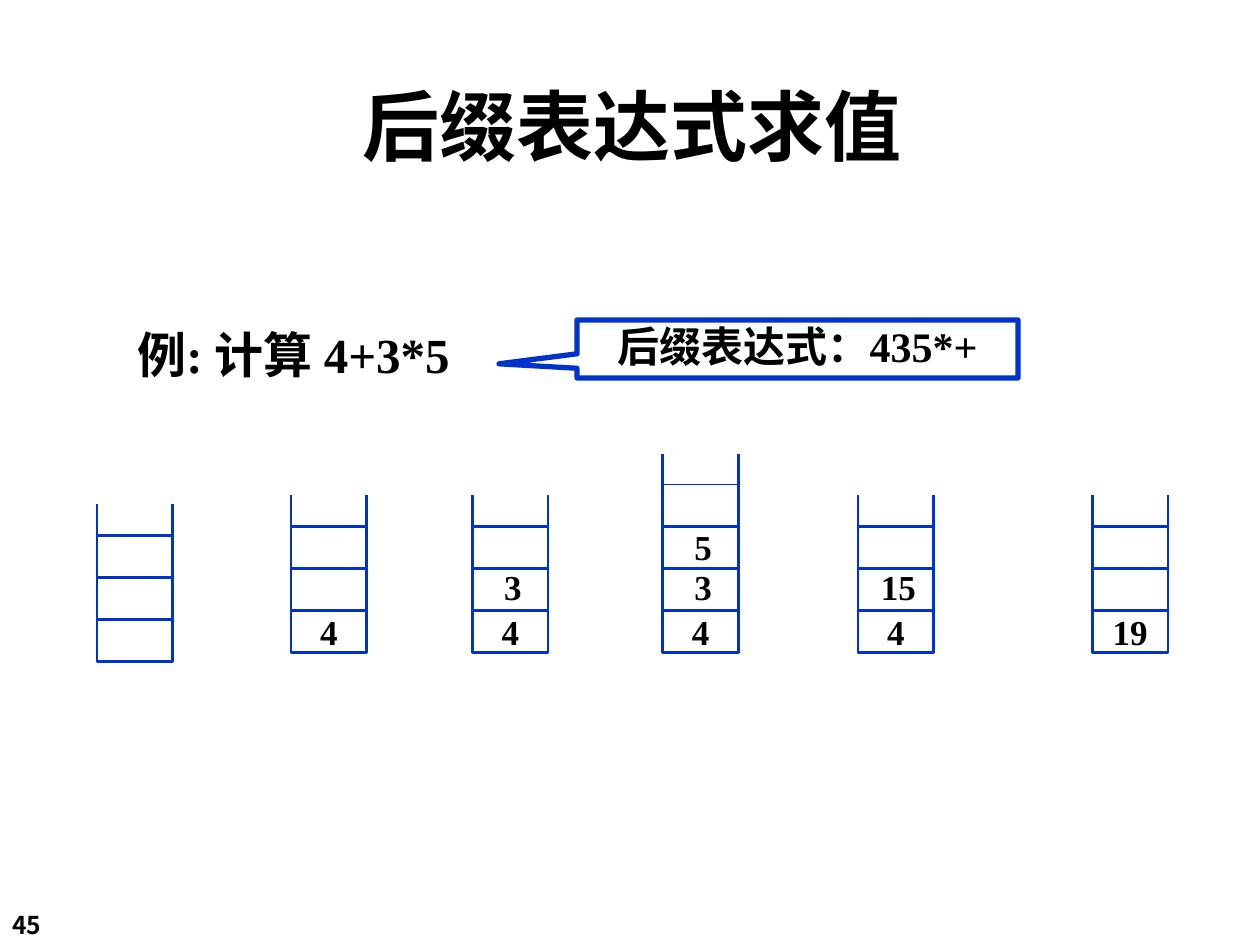
from pptx import Presentation
from pptx.dml.color import RGBColor
from pptx.enum.shapes import MSO_CONNECTOR as CONN, MSO_SHAPE as SHAPE
from pptx.enum.text import MSO_ANCHOR as ANCHOR, MSO_AUTO_SIZE as AUTO, PP_ALIGN as ALIGN
from pptx.oxml.ns import qn
from pptx.util import Inches, Pt
from lxml import etree

COLORS = {"text": "000000", "line": "0033CC", "fill": "FFFFFF"}
SERIF, SANS = "Times New Roman", "Noto Sans CJK SC"

# Stack geometry
CELL_W, CELL_H, CELLS = 0.6, 0.333, 3
DIGIT_RISE = [0.35, 0.7, 1.02]  # from the stack's bottom to each digit box's top
DIGIT_SHIFT = [0, 0.02, 0.02]

# Left edge, bottom, height of the walls, values from the bottom up
STACKS = [
    (0.77, 5.25, 1.25, []),
    (2.31, 5.18, 1.25, ["4"]),
    (3.75, 5.18, 1.25, ["4", "3"]),
    (5.26, 5.18, 1.58, ["4", "3", "5"]),
    (6.81, 5.18, 1.25, ["4", "15"]),
    (8.67, 5.18, 1.25, ["19"]),
]


def rgb(name):
    return RGBColor.from_string(COLORS[name])


def inches(*values):
    return [Inches(v) for v in values]


def write(tf, runs, size, align=ALIGN.CENTER, anchor=ANCHOR.MIDDLE, wrap=True, spacing=0.9):
    tf.word_wrap = wrap
    tf.auto_size = AUTO.NONE
    tf.vertical_anchor = anchor
    p = tf.paragraphs[0]
    p.alignment = align
    p.line_spacing = spacing
    p.space_before = Pt(0)
    for text, font in runs:
        r = p.add_run()
        r.text = text
        r.font.name = font
        r.font.size = Pt(size)
        r.font.bold = True
        r.font.color.rgb = rgb("text")
        ea = etree.SubElement(r.font._element, qn("a:ea"))
        ea.set("typeface", SANS)


def add_text(shapes, box, text, size, font=SERIF, **options):
    sp = shapes.add_textbox(*inches(*box))
    write(sp.text_frame, [(text, font)], size, **options)


def add_line(shapes, x1, y1, x2, y2, width=1.5):
    line = shapes.add_connector(CONN.STRAIGHT, *inches(x1, y1, x2, y2))
    line.line.color.rgb = rgb("line")
    line.line.width = Pt(width)
    etree.SubElement(line._element.spPr, qn("a:effectLst"))


def add_box(shapes, kind, box, width):
    sp = shapes.add_shape(kind, *inches(*box))
    sp.shadow.inherit = False
    sp.fill.solid()
    sp.fill.fore_color.rgb = rgb("fill")
    sp.line.color.rgb = rgb("line")
    sp.line.width = Pt(width)
    return sp


def add_stack(slide, left, bottom, height, values):
    shapes = slide.shapes.add_group_shape().shapes
    for x in (left, left + CELL_W):
        add_line(shapes, x, bottom, x, bottom - height)
    for i in range(CELLS):
        top = bottom - (i + 1) * CELL_H
        add_box(shapes, SHAPE.RECTANGLE, (left, top, CELL_W, CELL_H), 1.5)
    for value, rise, shift in zip(values, DIGIT_RISE, DIGIT_SHIFT):
        width = 0.34 if len(value) == 1 else 0.48
        x = left + (CELL_W - width) / 2 + shift
        add_text(shapes, (x, bottom - rise, width, 0.4), value, 20, wrap=False)
    # A full stack shows one more cell edge
    if len(values) == CELLS:
        y = bottom - (CELLS + 1) * CELL_H
        add_line(shapes, left, y, left + CELL_W, y, 0.75)


def add_title(slide):
    title = slide.shapes.title
    title.left, title.top, title.width, title.height = inches(0.43, 0.66, 9.17, 0.76)
    write(title.text_frame, [("后缀", SERIF), ("表达式求值", SANS)], 44, anchor=ANCHOR.TOP)


def add_callout(slide):
    sp = add_box(slide.shapes, SHAPE.RECTANGULAR_CALLOUT, (4.58, 2.54, 3.5, 0.46), 3)
    sp.adjustments[0], sp.adjustments[1] = -0.677, 0.256
    write(sp.text_frame, [("后缀表达式：435*+", SERIF)], 24)


def main():
    prs = Presentation()
    prs.slide_width, prs.slide_height = inches(10, 7.5)
    slide = prs.slides.add_slide(prs.slide_layouts[5])

    # Title, example and its postfix form
    add_title(slide)
    add_text(slide.shapes, (0.8, 2.58, 3.06, 0.52), "例: 计算 4+3*5", 28, wrap=False)
    add_callout(slide)

    # Stack after each step
    for stack in STACKS:
        add_stack(slide, *stack)

    # Page number
    add_text(slide.shapes, (0, 7.17, 0.83, 0.34), "45", 14, font=SANS,
             align=ALIGN.LEFT, anchor=ANCHOR.TOP, spacing=1)
    prs.save("out.pptx")


if __name__ == "__main__":
    main()
